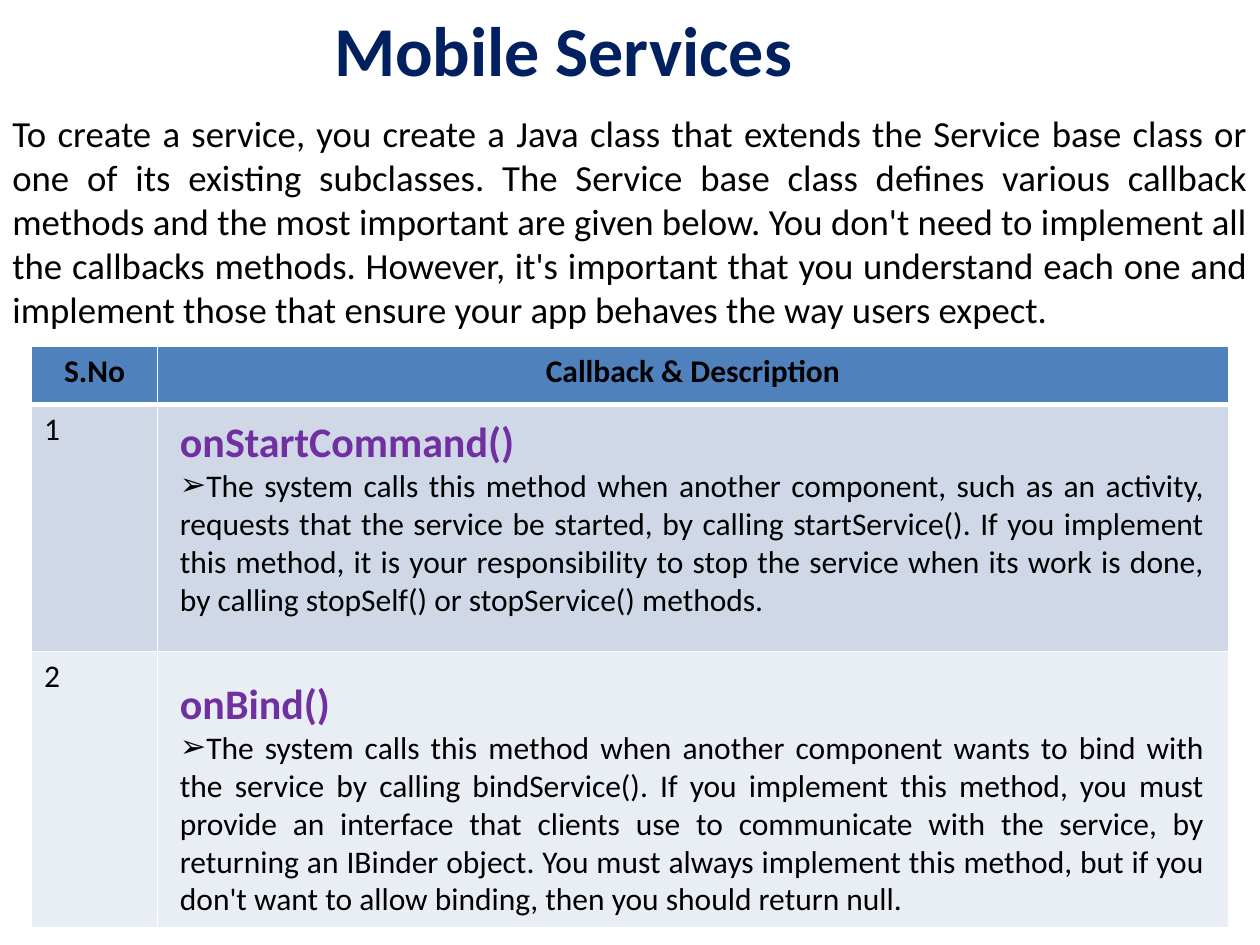
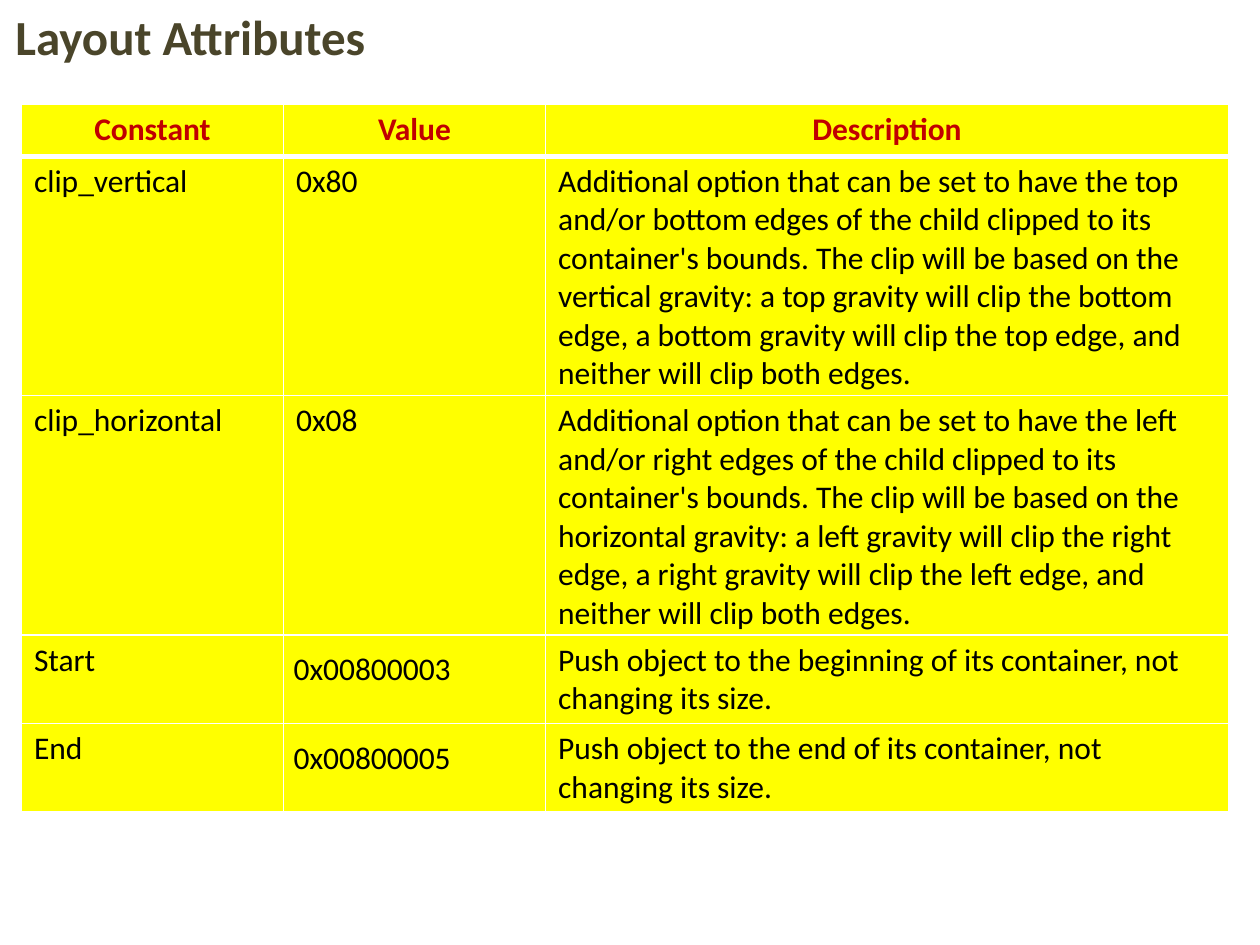
from dataclasses import dataclass

from lxml import etree
from pptx import Presentation
from pptx import util as u
from pptx.dml.color import RGBColor
from pptx.enum import text as t
from pptx.oxml.ns import qn

FONT = "Calibri"
HUES = {
    "ink": "000000", "white": "FFFFFF", "navy": "002060", "olive": "4A452A",
    "purple": "7030A0", "red": "C00000", "yellow": "FFFF00",
    "head": "4F81BD", "odd": "D0D8E8", "even": "E9EDF4",
}
LEFT, MID, JUST = t.PP_ALIGN.LEFT, t.PP_ALIGN.CENTER, t.PP_ALIGN.JUSTIFY


@dataclass
class Para:
    text: str
    size: float = 18
    hue: str = "ink"
    bold: bool = False
    align: t.PP_ALIGN = LEFT
    bullet: str = ""
    gap: float = 1.0


@dataclass
class Box:
    left: float
    top: float
    width: float
    height: float
    paras: list[Para]
    wrap: bool = True


@dataclass
class Cell:
    para: Para | None
    fill: str
    inset: float | None = None


@dataclass
class Grid:
    left: float
    top: float
    cols: list[float]
    rows: list[float]
    cells: list[list[Cell]]


def rgb(hue: str) -> RGBColor:
    return RGBColor.from_string(HUES[hue])


def write(frame, paras: list[Para]) -> None:
    for i, item in enumerate(paras):
        para = frame.add_paragraph() if i else frame.paragraphs[0]
        para.alignment = item.align
        if item.gap != 1:
            para.line_spacing = item.gap
        if item.bullet:
            props = para._p.get_or_add_pPr()
            etree.SubElement(props, qn("a:buFont"), typeface="Arial")
            etree.SubElement(props, qn("a:buChar"), char=item.bullet)
        para.add_run().text = item.text
        font = para.font
        font.name, font.size, font.bold = FONT, u.Pt(item.size), item.bold
        font.color.rgb = rgb(item.hue)


def draw_box(slide, box: Box) -> None:
    spot = (box.left, box.top, box.width, box.height)
    frame = slide.shapes.add_textbox(*map(u.Inches, spot)).text_frame
    frame.word_wrap = box.wrap
    write(frame, box.paras)


def edge(cell, low: float) -> None:
    """Give a cell white borders; low is the width of the bottom one."""
    props = cell._tc.get_or_add_tcPr()
    for side, width in (("L", 1), ("R", 1), ("T", 1), ("B", low)):
        line = etree.SubElement(props, qn(f"a:ln{side}"), w=str(u.Pt(width)))
        fill = etree.SubElement(line, qn("a:solidFill"))
        etree.SubElement(fill, qn("a:srgbClr"), val=HUES["white"])


def draw_grid(slide, grid: Grid) -> None:
    spot = (grid.left, grid.top, sum(grid.cols), sum(grid.rows))
    table = slide.shapes.add_table(
        len(grid.rows), len(grid.cols), *map(u.Inches, spot)).table
    for col, width in zip(table.columns, grid.cols):
        col.width = u.Inches(width)
    for r, (row, height) in enumerate(zip(table.rows, grid.rows)):
        row.height = u.Inches(height)
        for cell, item in zip(row.cells, grid.cells[r]):
            edge(cell, 1 if r else 3)
            cell.fill.solid()
            cell.fill.fore_color.rgb = rgb(item.fill)
            if item.inset is not None:
                cell.margin_left = cell.margin_right = u.Inches(item.inset)
                cell.margin_top = cell.margin_bottom = u.Inches(item.inset)
            if item.para:
                write(cell.text_frame, [item.para])


def title(text: str, left: float, width: float, height: float,
          size: float, hue: str) -> Box:
    return Box(left, 0, width, height,
               [Para(text, size, hue, True, MID)], wrap=False)


def header(names: list[str], hue: str, fill: str) -> list[Cell]:
    return [Cell(Para(name, 18, hue, True, MID), fill) for name in names]


def method(name: str, top: float, height: float, body: str) -> Box:
    return Box(1.33, top, 8.33, height, [
        Para(name, 24, "purple", True),
        Para(body, align=JUST, bullet="➢"),
    ])


# Services slide
INTRO = (
    "To create a service, you create a Java class that extends the Service "
    "base class or one of its existing subclasses. The Service base class "
    "defines various callback methods and the most important are given below. "
    "You don't need to implement all the callbacks methods. However, it's "
    "important that you understand each one and implement those that ensure "
    "your app behaves the way users expect.")
START = (
    "The system calls this method when another component, such as an "
    "activity, requests that the service be started, by calling startService(). "
    "If you implement this method, it is your responsibility to stop the "
    "service when its work is done, by calling stopSelf() or stopService() "
    "methods.")
BIND = (
    "The system calls this method when another component wants to bind with "
    "the service by calling bindService(). If you implement this method, you "
    "must provide an interface that clients use to communicate with the "
    "service, by returning an IBinder object. You must always implement this "
    "method, but if you don't want to allow binding, then you should return "
    "null.")


def services(slide) -> None:
    draw_box(slide, Box(0, 0.83, 10, 1.87, [Para(INTRO, 21, align=JUST)]))
    draw_box(slide, title("Mobile Services", 2.42, 4.1, 0.77, 40, "navy"))
    rows = [[Cell(Para(num), fill), Cell(None, fill)]
            for num, fill in (("1", "odd"), ("2", "even"))]
    head = header(["S.No", "Callback & Description"], "ink", "head")
    draw_grid(slide, Grid(0.25, 2.75, [1, 8.5], [0.46, 1.96, 2.19],
                          [head, *rows]))
    draw_box(slide, method("onStartCommand()", 3.25, 1.72, START))
    draw_box(slide, method("onBind()", 5.33, 2.02, BIND))


# Attributes slide
def clip(axis: str, near: str, far: str) -> str:
    return (
        f"Additional option that can be set to have the {near} and/or {far} "
        "edges of the child clipped to its container's bounds. The clip will "
        f"be based on the {axis} gravity: a {near} gravity will clip the {far} "
        f"edge, a {far} gravity will clip the {near} edge, and neither will "
        "clip both edges.")


def push(end: str) -> str:
    return f"Push object to the {end} of its container, not changing its size."


CONSTS = [
    ("clip_vertical", "0x80", clip("vertical", "top", "bottom")),
    ("clip_horizontal", "0x08", clip("horizontal", "left", "right")),
    ("Start", "0x00800003", push("beginning")),
    ("End", "0x00800005", push("end")),
]


def layout(slide) -> None:
    draw_box(slide, title("Layout Attributes", 0, 3.02, 0.57, 28, "olive"))
    rows = []
    for name, value, note in CONSTS:
        long = len(value) > 4
        rows.append([
            Cell(Para(name), "yellow"),
            Cell(Para(value, gap=1.15 if long else 1), "yellow",
                 0.08 if long else None),
            Cell(Para(note), "yellow"),
        ])
    head = header(["Constant", "Value", "Description"], "red", "yellow")
    draw_grid(slide, Grid(0.17, 0.83, [2.08, 2.08, 5.42],
                          [0.41, 1.9, 1.9, 0.7, 0.7], [head, *rows]))


def main() -> None:
    deck = Presentation()
    deck.slide_width, deck.slide_height = u.Inches(10), u.Inches(7.5)
    for build in (services, layout):
        build(deck.slides.add_slide(deck.slide_layouts[6]))
    deck.save("out.pptx")


if __name__ == "__main__":
    main()
